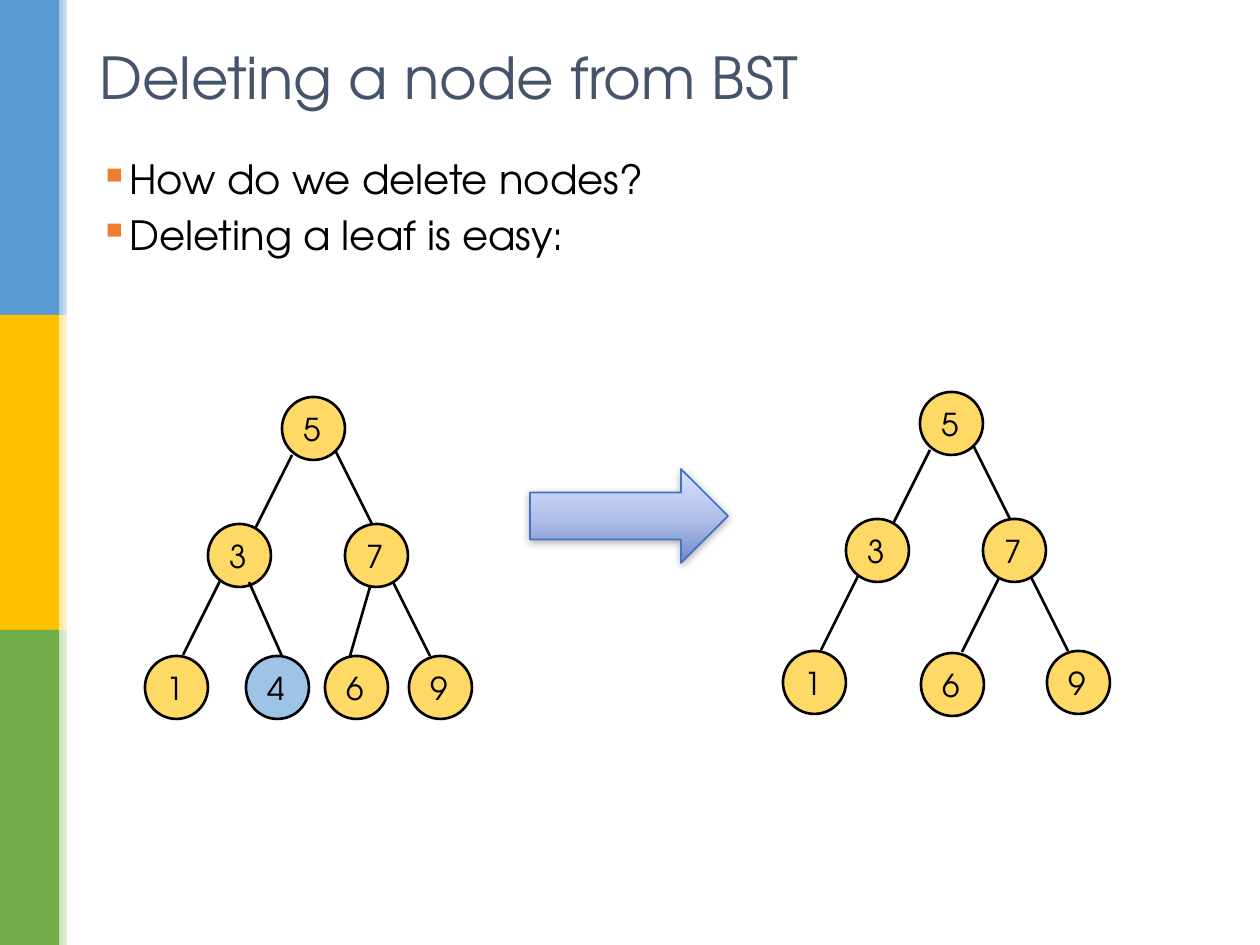
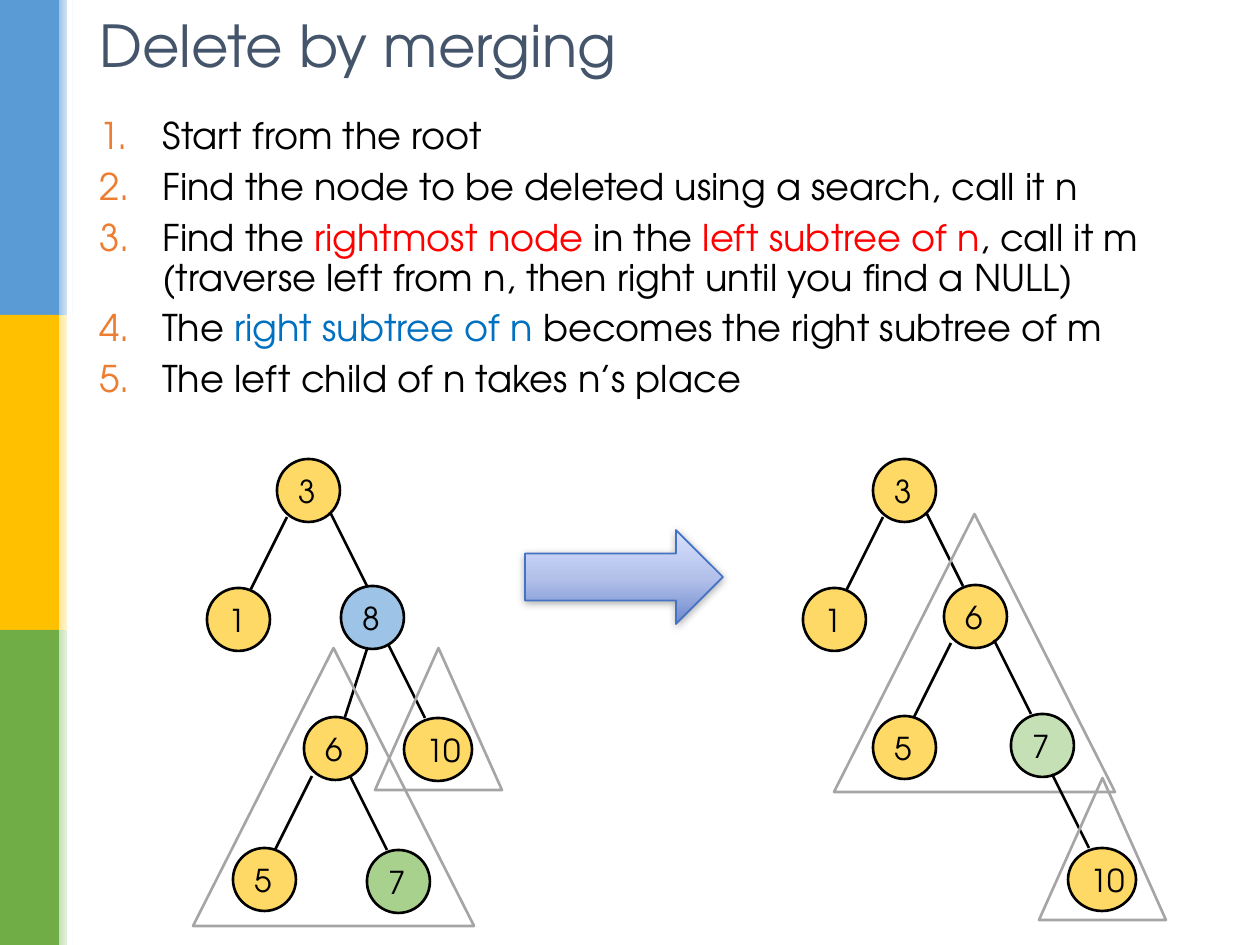
from dataclasses import dataclass

from lxml import etree
from pptx import Presentation
from pptx import util as u
from pptx.dml.color import RGBColor
from pptx.enum import shapes, text
from pptx.oxml import ns

SCALE = u.Inches(1) / 126
FONT = "TeX Gyre Adventor"

BLACK = RGBColor(0x00, 0x00, 0x00)
WHITE = RGBColor(0xFF, 0xFF, 0xFF)
SLATE = RGBColor(0x44, 0x54, 0x6A)
ORANGE = RGBColor(0xED, 0x7D, 0x31)
RED = RGBColor(0xFF, 0x00, 0x00)
LINK_BLUE = RGBColor(0x00, 0x70, 0xC0)
GOLD = RGBColor(0xFF, 0xD9, 0x66)
SKY = RGBColor(0x9D, 0xC3, 0xE6)
LEAF_GREEN = RGBColor(0xA9, 0xD1, 0x8E)
PALE_GREEN = RGBColor(0xC5, 0xE0, 0xB4)
PALE_YELLOW = RGBColor(0xFF, 0xE6, 0x99)
BAND_BLUE = RGBColor(0x5B, 0x9B, 0xD5)
BAND_YELLOW = RGBColor(0xFF, 0xC0, 0x00)
BAND_GREEN = RGBColor(0x70, 0xAD, 0x47)
GREY = RGBColor(0xA5, 0xA5, 0xA5)
ARROW_LINE = RGBColor(0x44, 0x72, 0xC4)
ARROW_STOPS = [
    (0, RGBColor(0x6D, 0x89, 0xCB)),
    (48, RGBColor(0xB2, 0xC0, 0xEA)),
    (100, RGBColor(0xD8, 0xE1, 0xFE)),
]
BANDS = [(BAND_BLUE, SKY), (BAND_YELLOW, PALE_YELLOW), (BAND_GREEN, PALE_GREEN)]


@dataclass(frozen=True)
class Node:
    label: str
    x: int
    y: int
    fill: RGBColor = GOLD
    width: int = 63


@dataclass(frozen=True)
class Edge:
    x: int
    y: int
    dx: int
    dy: int = 74


@dataclass(frozen=True)
class Outline:
    x: int
    y: int
    width: int
    height: int


@dataclass(frozen=True)
class Tree:
    nodes: list[Node]
    edges: list[Edge]
    outlines: tuple[Outline, ...] = ()


@dataclass(frozen=True)
class Listing:
    size: int
    indent: float
    marker: str
    attribute: str
    value: str


BULLETS = Listing(23, 0.19, "buChar", "char", "▪")
NUMBERS = Listing(21, 0.5, "buAutoNum", "type", "arabicPeriod")


def px(length: float) -> u.Emu:
    return u.Emu(round(length * SCALE))


def add_element(parent, tag: str, **attributes):
    return etree.SubElement(parent, ns.qn(f"a:{tag}"), attributes)


def add_figure(page, kind, x: int, y: int, width: int, height: int):
    figure = page.shapes.add_shape(kind, px(x), px(y), px(width), px(height))
    figure.shadow.inherit = False
    figure.line.fill.background()
    return figure


def fill_solid(figure, color: RGBColor) -> None:
    figure.fill.solid()
    figure.fill.fore_color.rgb = color


def fill_gradient(figure, stops, angle: int) -> None:
    figure.fill.gradient()
    figure.fill.gradient_angle = angle
    stop_list = figure._element.spPr.find(".//" + ns.qn("a:gsLst"))
    for stop in list(stop_list):
        stop_list.remove(stop)
    for position, color in stops:
        stop = add_element(stop_list, "gs", pos=str(position * 1000))
        add_element(stop, "srgbClr", val=str(color))


def outline(figure, color: RGBColor, width: float = 1.5) -> None:
    figure.line.color.rgb = color
    figure.line.width = u.Pt(width)


def style_paragraph(para, size: int, color: RGBColor) -> None:
    para.font.name = FONT
    para.font.size = u.Pt(size)
    para.font.color.rgb = color


def draw_bands(page) -> None:
    rectangle = shapes.MSO_SHAPE.RECTANGLE
    for row, (color, glow) in enumerate(BANDS):
        fill_solid(add_figure(page, rectangle, 0, row * 315, 59, 315), color)
        edge = add_figure(page, rectangle, 59, row * 315, 15, 315)
        fill_gradient(edge, [(0, glow), (100, WHITE)], 0)
    fill_solid(add_figure(page, rectangle, 67, 0, 5, 945), WHITE)


def add_text_box(page, y: int, width: int, height: int):
    box = page.shapes.add_textbox(px(87), px(y), px(width), px(height))
    box.text_frame.word_wrap = True
    return box.text_frame


def draw_title(page, title: str, y: int) -> None:
    frame = add_text_box(page, y, 1086, 86)
    frame.vertical_anchor = text.MSO_ANCHOR.MIDDLE
    para = frame.paragraphs[0]
    para.text = title
    style_paragraph(para, 33, SLATE)


def draw_list(page, y: int, height: int, listing: Listing, items) -> None:
    frame = add_text_box(page, y, 1134, height)
    for index, item in enumerate(items):
        para = frame.add_paragraph() if index else frame.paragraphs[0]
        para.line_spacing = 0.9
        para.space_before = u.Pt(listing.size * 0.3)
        properties = para._p.get_or_add_pPr()
        indent = u.Inches(listing.indent)
        properties.set("marL", str(indent))
        properties.set("indent", str(-indent))
        add_element(add_element(properties, "buClr"), "srgbClr", val=str(ORANGE))
        add_element(properties, listing.marker, **{listing.attribute: listing.value})
        style_paragraph(para, listing.size, BLACK)
        for words, color in item:
            span = para.add_run()
            span.text = words
            if color != BLACK:
                span.font.color.rgb = color


def draw_node(page, node: Node, dx: int, dy: int) -> None:
    circle = add_figure(page, shapes.MSO_SHAPE.OVAL, node.x + dx, node.y + dy, node.width, 63)
    fill_solid(circle, node.fill)
    outline(circle, BLACK)
    frame = circle.text_frame
    frame.word_wrap = False
    frame.vertical_anchor = text.MSO_ANCHOR.MIDDLE
    para = frame.paragraphs[0]
    para.text = node.label
    para.alignment = text.PP_ALIGN.LEFT
    style_paragraph(para, 18, BLACK)


def draw_edge(page, edge: Edge, dx: int, dy: int) -> None:
    x, y = edge.x + dx, edge.y + dy
    line = page.shapes.add_connector(
        shapes.MSO_CONNECTOR.STRAIGHT, px(x), px(y), px(x + edge.dx), px(y + edge.dy)
    )
    outline(line, BLACK)
    add_element(line._element.spPr, "effectLst")


def draw_tree(page, tree: Tree, dx: int = 0, dy: int = 0) -> None:
    for node in tree.nodes:
        draw_node(page, node, dx, dy)
    for edge in tree.edges:
        draw_edge(page, edge, dx, dy)
    for area in tree.outlines:
        triangle = add_figure(
            page, shapes.MSO_SHAPE.ISOSCELES_TRIANGLE,
            area.x + dx, area.y + dy, area.width, area.height,
        )
        triangle.fill.background()
        outline(triangle, GREY)


def draw_arrow(page, x: int, y: int) -> None:
    arrow = add_figure(page, shapes.MSO_SHAPE.RIGHT_ARROW, x, y, 198, 94)
    fill_gradient(arrow, ARROW_STOPS, 90)
    outline(arrow, ARROW_LINE, 1)
    effects = arrow._element.spPr.find(ns.qn("a:effectLst"))
    shadow = add_element(
        effects, "outerShdw", blurRad=str(u.Pt(5)), dist=str(u.Pt(1)),
        dir="5400000", rotWithShape="0",
    )
    add_element(add_element(shadow, "srgbClr", val=str(BLACK)), "alpha", val="32000")


def add_page(deck, title: str, title_y: int):
    page = deck.slides.add_slide(deck.slide_layouts[6])
    draw_bands(page)
    draw_title(page, title, title_y)
    return page


def build_leaf_page(deck) -> None:
    page = add_page(deck, "Deleting a node from BST", 33)
    draw_list(page, 154, 761, BULLETS, [
        [("How do we delete nodes?", BLACK)],
        [("Deleting a leaf is easy:", BLACK)],
    ])
    common = Tree(
        [Node("5", 282, 397), Node("3", 208, 524), Node("7", 345, 524),
         Node("1", 145, 656), Node("9", 409, 656)],
        [Edge(292, 455, -37), Edge(335, 450, 37), Edge(220, 581, -37), Edge(393, 582, 37)],
    )
    before = Tree(
        [Node("4", 246, 656, SKY), Node("6", 325, 656)],
        [Edge(249, 582, 33), Edge(370, 587, -20, 69)],
    )
    after = Tree([Node("6", 921, 653)], [Edge(999, 578, -37)])
    draw_tree(page, common)
    draw_tree(page, common, 638, -5)
    draw_tree(page, before)
    draw_tree(page, after)
    draw_arrow(page, 530, 469)


def build_merge_page(deck) -> None:
    page = add_page(deck, "Delete by merging", 1)
    draw_list(page, 112, 801, NUMBERS, [
        [("Start from the root", BLACK)],
        [("Find the node to be deleted using a search, call it n", BLACK)],
        [("Find the ", BLACK), ("rightmost node ", RED), ("in the ", BLACK),
         ("left subtree of n", RED),
         (", call it m (traverse left from n, then right until you find a NULL)", BLACK)],
        [("The ", BLACK), ("right subtree of n ", LINK_BLUE),
         ("becomes the right subtree of m", BLACK)],
        [("The left child of n takes n’s place", BLACK)],
    ])
    root = Tree(
        [Node("3", 277, 459), Node("1", 207, 588)],
        [Edge(287, 517, -37), Edge(330, 512, 37)],
    )
    moved = Tree(
        [Node("10", 404, 718, width=68)],
        [Edge(388, 644, 37)],
        (Outline(375, 648, 127, 142),),
    )
    before = Tree(
        [Node("8", 341, 586, SKY), Node("6", 304, 717), Node("5", 233, 848),
         Node("7", 367, 850, LEAF_GREEN)],
        [Edge(367, 649, -22, 68), Edge(312, 776, -37), Edge(350, 776, 37)],
        (Outline(193, 648, 281, 278),),
    )
    after = Tree(
        [Node("6", 944, 585), Node("5", 873, 716), Node("7", 1011, 714, PALE_GREEN)],
        [Edge(951, 643, -37), Edge(994, 640, 37)],
        (Outline(834, 514, 281, 278),),
    )
    draw_tree(page, root)
    draw_tree(page, root, 596)
    draw_tree(page, before)
    draw_tree(page, after)
    draw_tree(page, moved)
    draw_tree(page, moved, 664, 130)
    draw_arrow(page, 525, 530)


def main() -> None:
    deck = Presentation()
    deck.slide_width, deck.slide_height = px(1260), px(945)
    build_leaf_page(deck)
    build_merge_page(deck)
    deck.save("out.pptx")


main()
